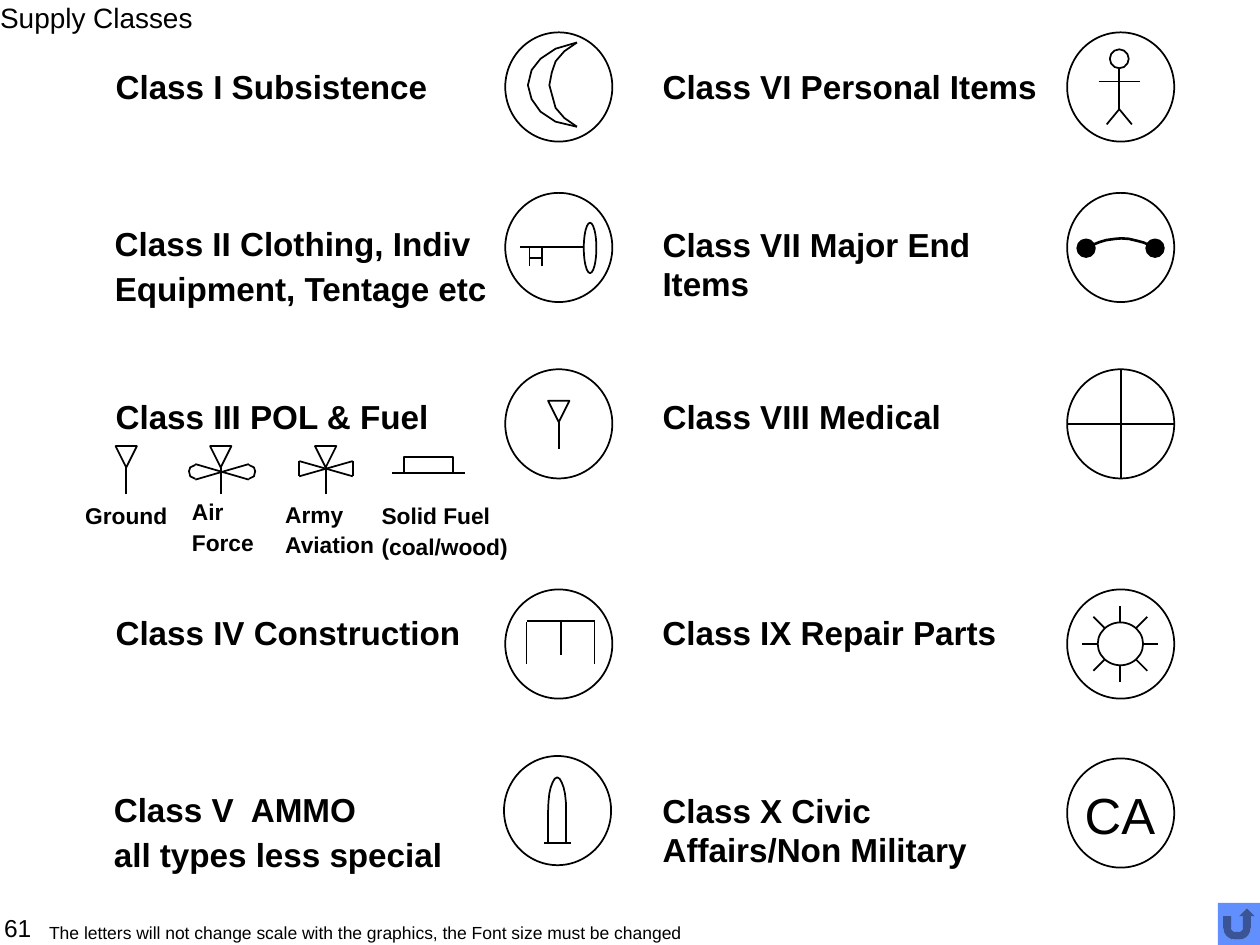
from dataclasses import dataclass
from math import cos, pi, sin

from lxml.etree import SubElement
from pptx import Presentation
from pptx.dml.color import RGBColor
from pptx.enum.shapes import MSO_CONNECTOR, MSO_SHAPE
from pptx.enum.text import MSO_ANCHOR, MSO_AUTO_SIZE, PP_ALIGN
from pptx.oxml.ns import qn
from pptx.util import Pt


@dataclass(frozen=True)
class Theme:
    font: str = "Arial"
    ink: RGBColor = RGBColor(0, 0, 0)
    paper: RGBColor = RGBColor(255, 255, 255)
    button: RGBColor = RGBColor(0x61, 0x8F, 0xFD)
    monogram: float = 29
    heading: float = 19
    title: float = 16
    number: float = 14
    caption: float = 13
    note: float = 10
    line: float = 1


class Canvas:
    def __init__(self, slide, theme):
        self.slide = slide
        self.theme = theme
        self.end_group()

    def end_group(self):
        self.shapes = self.slide.shapes
        self.left = self.top = 0

    def start_group(self, left=0, top=0):
        self.shapes = self.slide.shapes.add_group_shape().shapes
        self.left, self.top = left, top

    def symbol(self, left, top):
        self.start_group(left, top)
        self.shape(MSO_SHAPE.OVAL, 0, 0, 61.2, 62.4)

    def place(self, x, y):
        return Pt(self.left + x), Pt(self.top + y)

    def finish(self, shape, fill, outlined=True, width=None):
        shape.shadow.inherit = False
        if fill is None:
            shape.fill.background()
        else:
            shape.fill.solid()
            shape.fill.fore_color.rgb = fill
        if outlined:
            shape.line.color.rgb = self.theme.ink
            shape.line.width = Pt(width or self.theme.line)
        else:
            shape.line.fill.background()

    def shape(self, kind, x, y, width, height, fill=None, outlined=True):
        shape = self.shapes.add_shape(kind, *self.place(x, y), Pt(width), Pt(height))
        self.finish(shape, fill, outlined)
        return shape

    def line(self, x1, y1, x2, y2):
        connector = self.shapes.add_connector(
            MSO_CONNECTOR.STRAIGHT, *self.place(x1, y1), *self.place(x2, y2))
        connector.line.color.rgb = self.theme.ink
        connector.line.width = Pt(self.theme.line)
        SubElement(connector._element.spPr, qn("a:effectLst"))

    def curve(self, points, width=None):
        start, *rest = [self.place(x, y) for x, y in points]
        builder = self.shapes.build_freeform(*start, scale=1.0)
        builder.add_line_segments(rest, close=False)
        self.finish(builder.convert_to_shape(), None, width=width)

    def text(self, words, x, y, width, height, size, bold=False, inset=(0, 0),
             align=PP_ALIGN.LEFT, anchor=MSO_ANCHOR.TOP, wrap=False, grow=True):
        box = self.shapes.add_textbox(*self.place(x, y), Pt(width), Pt(height))
        frame = box.text_frame
        frame.word_wrap = wrap
        frame.auto_size = MSO_AUTO_SIZE.SHAPE_TO_FIT_TEXT if grow else MSO_AUTO_SIZE.NONE
        frame.vertical_anchor = anchor
        frame.margin_left = frame.margin_right = Pt(inset[0])
        frame.margin_top = frame.margin_bottom = Pt(inset[1])
        paragraph = frame.paragraphs[0]
        paragraph.alignment = align
        run = paragraph.add_run()
        run.text = words
        run.font.name = self.theme.font
        run.font.size = Pt(size)
        run.font.bold = bold
        run.font.color.rgb = self.theme.ink

    def label(self, words, x, y, width, size):
        height = 30.2 if size == self.theme.heading else 23
        self.text(words, x, y, width, height, size, bold=True, inset=(7.2, 3.6))

    def funnel(self, x, y):
        self.line(x + 6.1, y + 11.8, x + 6.1, y + 27.4)
        self.shape(MSO_SHAPE.ISOSCELES_TRIANGLE, x, y, 12.2, 12.2).rotation = 180

    def cross(self, left, top, right, bottom):
        self.line(left, top, right, bottom)
        self.line(right, top, left, bottom)


LEFT, RIGHT = 288.7, 609.8
ROWS = (18.5, 110.2, 211, 336.8, 433.4)

HEADINGS = [
    ("Class I Subsistence", 59, 34.2, 193),
    ("Class II Clothing, Indiv", 58.5, 123.8, 218.2),
    ("Equipment, Tentage etc", 58.5, 149.8, 229),
    ("Class III POL & Fuel", 59, 222.8, 193.7),
    ("Class IV Construction", 59, 346.3, 211.7),
    ("Class V  AMMO", 58, 447.4, 154.1),
    ("all types less special", 58, 473, 202.3),
    ("Class VI Personal Items", 371.5, 34.2, 229),
    ("Class VII Major End", 371.5, 124.6, 195.8),
    ("Items", 371.5, 146.9, 64.1),
    ("Class VIII Medical", 371.5, 222.8, 174.2),
    ("Class IX Repair Parts", 371.5, 346.3, 205.9),
    ("Class X Civic", 371.5, 447.8, 139),
    ("Affairs/Non Military", 371.5, 470.2, 188.6),
]
CAPTIONS = [
    ("Ground", 41.6, 283, 61.2),
    ("Air", 102.6, 280.8, 32.4),
    ("Force", 102.6, 298.8, 49.7),
    ("Army", 155.9, 282.5, 47.5),
    ("Aviation", 155.9, 299.5, 65.5),
    ("Solid Fuel", 211, 283, 76.3),
    ("(coal/wood)", 211, 301, 86.4),
]
CRESCENT_INNER = [(41, 5.8), (33.8, 10.8), (28.8, 16.6), (26.6, 23), (25.2, 30.2),
                  (28.8, 43.2), (33.8, 49), (41, 54)]
CRESCENT_OUTER = [(41, 5.8), (28.8, 9.4), (20.2, 15.1), (15.1, 21.6), (13, 30.2),
                  (15.1, 38.2), (20.2, 45.4), (28.8, 51.1), (41, 54)]
BULLET_CENTRE = 30.4
BULLET_TIP = [(5.1, 31), (5, 26.6), (4.5, 21.6), (3.7, 18), (2.6, 15.1), (1.4, 13), (0, 12.2)]
AXLE = [(15.1, 29.5), (18.7, 28.1), (22.3, 27), (27.4, 26.3), (31, 26),
        (35.3, 26.3), (40, 27.4), (44, 28.5), (46.1, 29.5)]
PROPELLER_TIP = [(111.6, 265.7), (108.7, 267.1), (108, 269.3), (108.7, 272.2), (111.6, 273.6)]


def draw_left_symbols(canvas):
    canvas.symbol(LEFT, ROWS[0])
    canvas.curve(CRESCENT_INNER)
    canvas.curve(CRESCENT_OUTER)

    canvas.symbol(LEFT, ROWS[1])
    canvas.line(8.6, 31, 44.6, 31)
    canvas.line(13.9, 37.4, 20.9, 37.4)
    for tooth in (13.9, 20.9):
        canvas.line(tooth, 31, tooth, 41.8)
    canvas.shape(MSO_SHAPE.OVAL, 44.9, 17.1, 7.2, 28.8, canvas.theme.paper)

    canvas.symbol(LEFT, ROWS[2])
    canvas.funnel(24.5, 18)

    canvas.symbol(LEFT, ROWS[3])
    canvas.line(12.2, 18.2, 51.1, 18.2)
    for post, foot in ((12.2, 42.5), (31.7, 37.4), (51.1, 42.5)):
        canvas.line(post, 18.7, post, foot)

    canvas.symbol(288, 432)
    canvas.curve([(BULLET_CENTRE - x, y) for x, y in BULLET_TIP]
                 + [(BULLET_CENTRE + x, y) for x, y in reversed(BULLET_TIP[:-1])])
    for side in (25.3, 35.5):
        canvas.line(side, 31, side, 49.7)
    canvas.line(23, 49.7, 38.2, 49.7)


def draw_right_symbols(canvas):
    canvas.symbol(RIGHT, ROWS[0])
    canvas.shape(MSO_SHAPE.OVAL, 24.4, 9.7, 10.8, 10.8)
    canvas.line(18, 28.1, 41.8, 28.1)
    canvas.line(29.8, 20.5, 29.8, 43.9)
    for foot in (22.6, 37):
        canvas.line(29.8, 43.9, foot, 52.6)

    canvas.symbol(RIGHT, ROWS[1])
    for ball in (5.8, 45.2):
        canvas.shape(MSO_SHAPE.OVAL, ball, 26.6, 10.1, 10.1, canvas.theme.ink)
    canvas.curve(AXLE, 1.5)

    canvas.symbol(RIGHT, ROWS[2])
    canvas.line(30.6, 0, 30.6, 62.4)
    canvas.line(0, 31.2, 61.2, 31.2)

    canvas.symbol(RIGHT, ROWS[3])
    canvas.shape(MSO_SHAPE.OVAL, 17.5, 18.9, 25.9, 24.5)
    for step in range(8):
        across, down = cos(step * pi / 4), sin(step * pi / 4)
        canvas.line(30.4 + 12.5 * across, 31.1 + 12.5 * down,
                    30.4 + 21.8 * across, 31.1 + 21.8 * down)

    canvas.symbol(RIGHT, ROWS[4])
    canvas.text("CA", 8.2, 14.4, 44, 34.6, canvas.theme.monogram,
                align=PP_ALIGN.CENTER, anchor=MSO_ANCHOR.MIDDLE, wrap=True)


def draw_fuel_types(canvas):
    canvas.start_group()
    canvas.funnel(66, 254.9)

    canvas.start_group()
    canvas.funnel(120, 254.9)
    canvas.cross(111.6, 265.2, 142.2, 274.1)
    canvas.curve(PROPELLER_TIP)
    canvas.curve([(253.8 - x, y) for x, y in PROPELLER_TIP])

    canvas.start_group()
    canvas.funnel(180, 254.9)
    canvas.cross(171, 263.5, 201.6, 272.2)
    for blade in (171, 201.6):
        canvas.line(blade, 263.5, blade, 272.2)

    canvas.start_group()
    canvas.shape(MSO_SHAPE.RECTANGLE, 231, 261.2, 28.1, 8.9)
    canvas.line(223.9, 270.5, 265.7, 270.5)


def main():
    presentation = Presentation()
    presentation.slide_width, presentation.slide_height = Pt(720), Pt(540)
    theme = Theme()
    canvas = Canvas(presentation.slides.add_slide(presentation.slide_layouts[6]), theme)
    canvas.text("Supply Classes", 0, 0, 110.2, 19.4, theme.title,
                align=PP_ALIGN.CENTER, anchor=MSO_ANCHOR.MIDDLE)
    for heading in HEADINGS:
        canvas.label(*heading, theme.heading)
    for caption in CAPTIONS:
        canvas.label(*caption, theme.caption)
    draw_left_symbols(canvas)
    draw_right_symbols(canvas)
    draw_fuel_types(canvas)
    canvas.end_group()
    canvas.text("61", -3.6, 512, 27.4, 36, theme.number,
                align=PP_ALIGN.CENTER, anchor=MSO_ANCHOR.MIDDLE, grow=False)
    canvas.text("The letters will not change scale with the graphics, the Font size must be changed",
                28.1, 527, 523.4, 12.2, theme.note, wrap=True)
    canvas.shape(MSO_SHAPE.ACTION_BUTTON_RETURN, 696, 516, 24, 24, theme.button, outlined=False)
    presentation.save("out.pptx")


if __name__ == "__main__":
    main()
